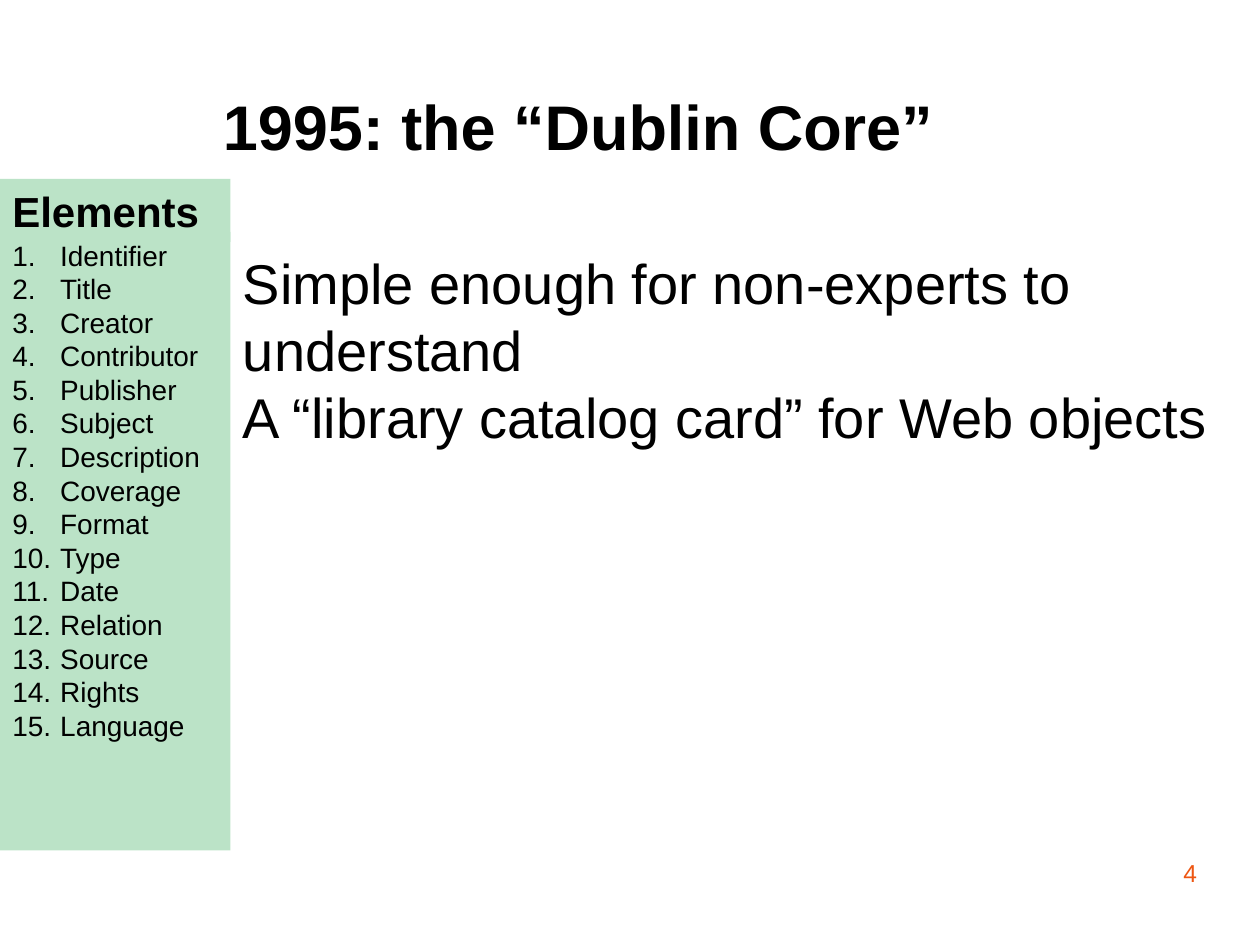
from lxml.etree import SubElement
from pptx import Presentation
from pptx.dml.color import RGBColor
from pptx.enum.shapes import MSO_SHAPE as Shape
from pptx.enum.text import MSO_ANCHOR as Anchor, PP_ALIGN as Align
from pptx.oxml.ns import qn
from pptx.util import Inches, Pt

BLACK = RGBColor(0x00, 0x00, 0x00)
ORANGE = RGBColor(0xEE, 0x56, 0x12)
MINT = RGBColor(0xBB, 0xE3, 0xC7)
FONT = "Arial"
PAGE_W, PAGE_H = 10, 7.5
SIDEBAR_W, SIDEBAR_TOP, SIDEBAR_BOTTOM = 1.83, 1.42, 6.75
LIST_INDENT = 0.38

ELEMENTS = ["Identifier", "Title", "Creator", "Contributor", "Publisher",
            "Subject", "Description", "Coverage", "Format", "Type", "Date",
            "Relation", "Source", "Rights", "Language"]
POINTS = ["Simple enough for non-experts to understand",
          "A “library catalog card” for Web objects"]


def number_paragraph(para):
    """Give a paragraph an automatic number on a hanging indent."""
    props = para._p.get_or_add_pPr()
    props.set("marL", str(Inches(LIST_INDENT)))
    props.set("indent", str(-Inches(LIST_INDENT)))
    SubElement(props, qn("a:buFont"), typeface=FONT)
    SubElement(props, qn("a:buAutoNum"), type="arabicPeriod")


def add_text(page, area, lines, size, color=BLACK, bold=False, fill=None,
             align=Align.LEFT, anchor=Anchor.TOP, margins=(0.1, 0.05),
             spacing=None, numbered=False):
    area = [Inches(length) for length in area]
    if fill is None:
        box = page.shapes.add_textbox(*area)
    else:
        box = page.shapes.add_shape(Shape.RECTANGLE, *area)
        box.shadow.inherit = False
        box.fill.solid()
        box.fill.fore_color.rgb = fill
        box.line.fill.background()
    frame = box.text_frame
    frame.word_wrap = True
    frame.vertical_anchor = anchor
    frame.margin_left = frame.margin_right = Inches(margins[0])
    frame.margin_top = frame.margin_bottom = Inches(margins[1])
    for index, line in enumerate(lines):
        para = frame.add_paragraph() if index else frame.paragraphs[0]
        para.alignment = align
        if spacing:
            para.line_spacing = spacing
        if numbered:
            number_paragraph(para)
        span = para.add_run()
        span.text = line
        span.font.name, span.font.size = FONT, Pt(size)
        span.font.bold = bold
        span.font.color.rgb = color
    return box


def add_sidebar(page, left, top, width, height):
    # The list panel slightly overlaps the heading panel
    list_top = top + 0.42
    add_text(page, (left, top, width, 0.5), ["Elements"], 24, bold=True,
             fill=MINT)
    add_text(page, (left, list_top, width, top + height - list_top), ELEMENTS,
             16, fill=MINT, numbered=True)


def build_page(page):
    # Page number
    add_text(page, (7.17, 6.83, 2.33, 0.52), ["4"], 14, color=ORANGE,
             align=Align.RIGHT, margins=(0, 0), spacing=0.95)
    # Title
    add_text(page, (1.67, 0.2, 7.6, 1.59), ["1995: the “Dublin Core”"], 36,
             bold=True, anchor=Anchor.MIDDLE)
    # Numbered elements on the left
    add_sidebar(page, 0, SIDEBAR_TOP, SIDEBAR_W, SIDEBAR_BOTTOM - SIDEBAR_TOP)
    # Main points fill the rest of the width
    add_text(page, (SIDEBAR_W, 1.92, PAGE_W - SIDEBAR_W, 1.72), POINTS, 32)


def main():
    deck = Presentation()
    deck.slide_width, deck.slide_height = Inches(PAGE_W), Inches(PAGE_H)
    build_page(deck.slides.add_slide(deck.slide_layouts[6]))
    deck.save("out.pptx")


if __name__ == "__main__":
    main()
